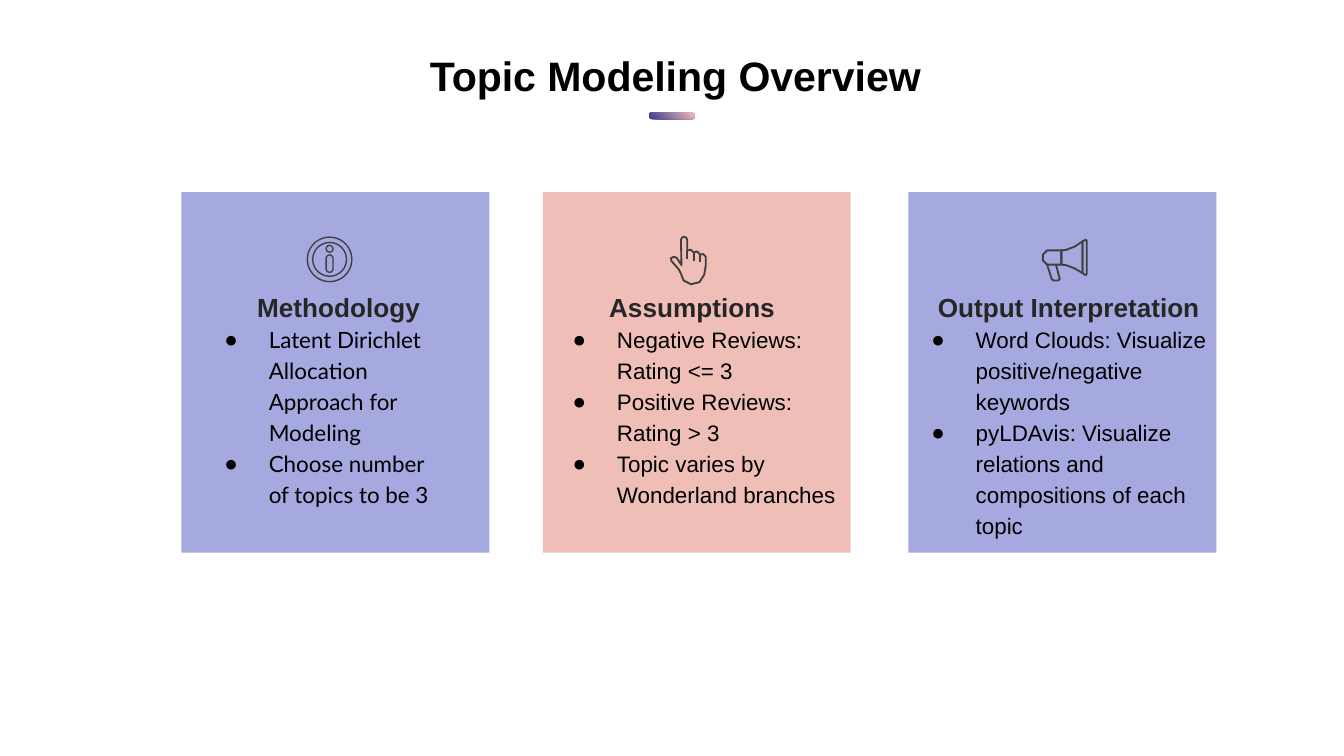
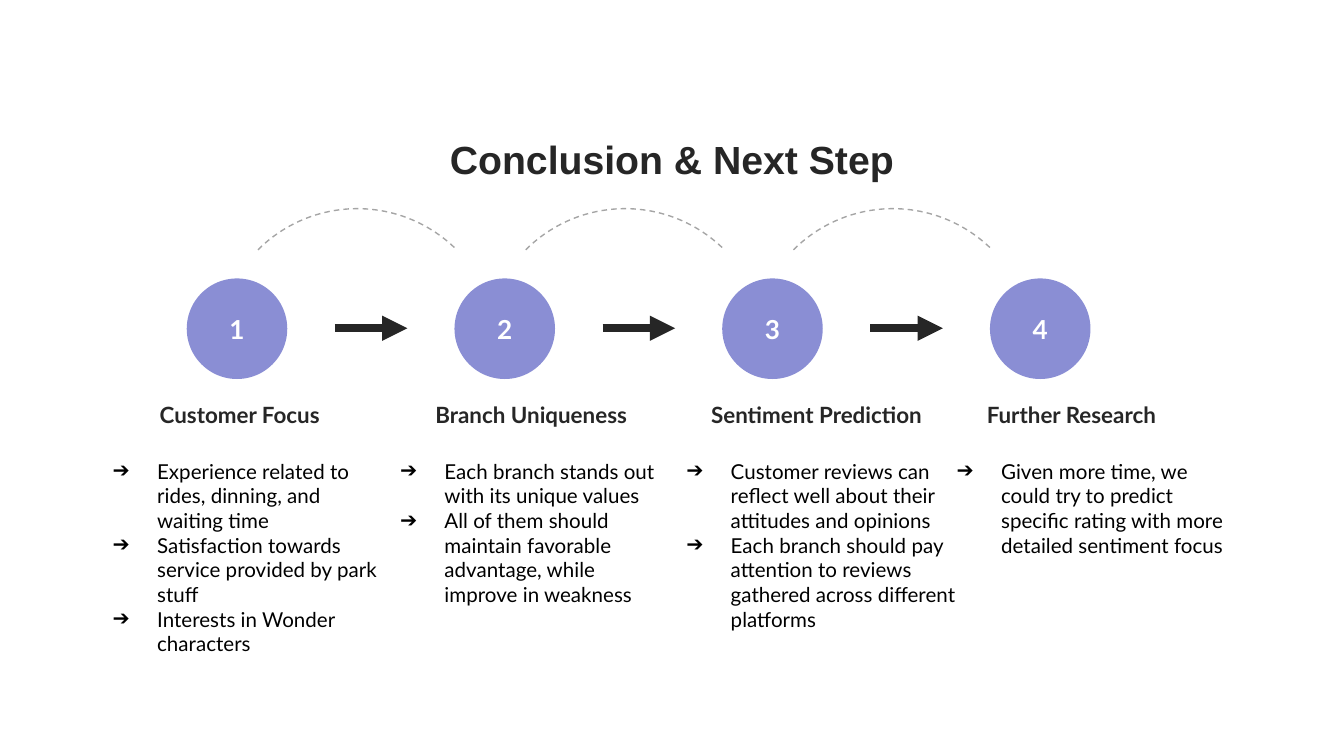
"""Build the topic modeling overview and conclusion slides."""
from dataclasses import dataclass

from lxml.etree import SubElement
from pptx import Presentation
from pptx.dml.color import RGBColor
from pptx.enum.dml import MSO_LINE
from pptx.enum.shapes import MSO_CONNECTOR, MSO_SHAPE
from pptx.enum.text import MSO_ANCHOR, MSO_AUTO_SIZE, PP_ALIGN
from pptx.oxml.ns import qn
from pptx.util import Cm, Pt


@dataclass(frozen=True)
class Theme:
    """Colours, fonts and type sizes."""
    black: str = "000000"
    ink: str = "262626"
    white: str = "FFFFFF"
    lilac: str = "A6A9E0"
    rose: str = "EFBEB7"
    violet: str = "8A8ED4"
    indigo: str = "393E8F"
    icon: str = "404041"
    arc: str = "A5A5A5"
    sans: str = "Arial"
    lato: str = "Lato"
    overview_title: int = 22
    conclusion_title: int = 21
    card_heading: int = 14
    card_list: int = 12
    step_number: int = 14
    step_heading: int = 12
    step_list: int = 11


THEME = Theme()
NARROW = (0.18, 0.1)
WIDE = (0.25, 0.25)
COMPARISON_LAYOUT = 4

CARDS = [
    ("Methodology", THEME.lilac, THEME.lato, 3.43, (4.37, 4.06), (3.63, 5),
     ["Latent Dirichlet Allocation Approach for Modeling",
      "Choose number of topics to be 3"]),
    ("Assumptions", THEME.rose, THEME.sans, 10.26, (11.1, 3.96), (10.21, 5.82),
     ["Negative Reviews: Rating <= 3",
      "Positive Reviews: Rating > 3",
      "Topic varies by Wonderland branches"]),
    ("Output Interpretation", THEME.lilac, THEME.sans, 17.17, (17.53, 5.34), (16.99, 6.5),
     ["Word Clouds: Visualize positive/negative keywords",
      "pyLDAvis: Visualize relations and compositions of each topic"]),
]

STEPS = [
    ("Customer Focus", 3.51, 1.45, 4.27,
     ["Experience related to rides, dinning, and waiting time",
      "Satisfaction towards service provided by park stuff",
      "Interests in Wonder characters"]),
    ("Branch Uniqueness", 4.24, 6.88, 3.81,
     ["Each branch stands out with its unique values",
      "All of them should maintain favorable advantage, while improve in weakness"]),
    ("Sentiment Prediction", 4.57, 12.29, 4.27,
     ["Customer reviews can reflect well about their attitudes and opinions",
      "Each branch should pay attention to reviews gathered across different platforms"]),
    ("Further Research", 4.45, 17.4, 3.33,
     ["Given more time, we could try to predict specific rating with more "
      "detailed sentiment focus"]),
]

HAND = [
    ([(23, 56), (22, 8), (24, 4), (28, 2), (32, 4), (34, 8), (34, 28), (41, 27),
      (46, 32), (53, 30), (58, 36), (64, 35), (69, 40), (69, 56), (66, 74), (57, 88),
      (41, 92), (27, 85), (22, 72), (18, 64), (4, 48), (3, 43), (8, 40), (14, 42)], True),
    ([(34, 28), (34, 45)], False),
    ([(46, 32), (46, 48)], False),
    ([(58, 36), (58, 50)], False),
]
MEGAPHONE = [
    ([(10, 23), (37, 23), (37, 50), (10, 50), (2, 42), (2, 31)], True),
    ([(37, 23), (46, 22), (62, 16), (77, 6), (77, 66), (62, 57), (46, 51), (37, 50)], True),
    ([(77, 6), (83, 3), (85, 5), (85, 67), (83, 70), (77, 66)], True),
    ([(10, 50), (19, 78), (23, 80), (31, 80), (34, 77), (27, 51)], False),
]


class Deck:
    """Holds the theme and the current slide, and draws each kind of element."""

    def __init__(self, theme):
        """Open a blank widescreen presentation."""
        self.theme = theme
        self.presentation = Presentation()
        self.presentation.slide_width = Cm(25.4)
        self.presentation.slide_height = Cm(14.28)

    def new_slide(self):
        """Start a slide with a title and four body placeholders."""
        layout = self.presentation.slide_layouts[COMPARISON_LAYOUT]
        self.slide = self.presentation.slides.add_slide(layout)
        self.bodies = list(self.slide.placeholders)[1:]

    def drop_spare_bodies(self):
        """Remove the body placeholders that hold no list."""
        for body in self.bodies:
            body.element.getparent().remove(body.element)

    def place(self, holder, left, top, width, height):
        """Move a placeholder in front of what is drawn so far."""
        holder.left, holder.top = Cm(left), Cm(top)
        holder.width, holder.height = Cm(width), Cm(height)
        holder.element.getparent().append(holder.element)

    def set_text(self, owner, lines, size, font, color, bold=False, align=PP_ALIGN.LEFT,
                 spacing=1.0, insets=NARROW, anchor=MSO_ANCHOR.TOP, bullet=None, grow=False):
        """Fill a text frame with evenly styled paragraphs."""
        frame = owner.text_frame
        frame.word_wrap = True
        frame.auto_size = MSO_AUTO_SIZE.SHAPE_TO_FIT_TEXT if grow else MSO_AUTO_SIZE.NONE
        frame.vertical_anchor = anchor
        frame.margin_left = frame.margin_right = Cm(insets[0])
        frame.margin_top = frame.margin_bottom = Cm(insets[1])
        frame.text = "\n".join(lines)
        for paragraph in frame.paragraphs:
            if bullet:
                self.bullet(paragraph, bullet)
            paragraph.alignment = align
            paragraph.line_spacing = spacing
            paragraph.space_before = Pt(0)
            paragraph.font.name = font
            paragraph.font.size = Pt(size)
            paragraph.font.bold = bold
            paragraph.font.color.rgb = RGBColor.from_string(color)

    def bullet(self, paragraph, mark):
        """Give a paragraph a hanging black bullet."""
        properties = paragraph._p.get_or_add_pPr()
        properties.set("marL", str(Cm(1.27)))
        properties.set("indent", str(Cm(-0.84)))
        tint = SubElement(properties, qn("a:buClr"))
        SubElement(tint, qn("a:srgbClr"), val=self.theme.black)
        SubElement(properties, qn("a:buFont"), typeface=self.theme.sans)
        SubElement(properties, qn("a:buChar"), char=mark)

    def title(self, text, box, size, color, spacing=1.0):
        """Set the slide title."""
        holder = self.slide.shapes.title
        self.place(holder, *box)
        self.set_text(holder, [text], size, self.theme.sans, color, bold=True,
                      align=PP_ALIGN.CENTER, spacing=spacing)

    def bullets(self, lines, box, size, font, mark, **style):
        """Set a list in the next body placeholder."""
        holder = self.bodies.pop(0)
        self.place(holder, *box)
        self.set_text(holder, lines, size, font, self.theme.black, bullet=mark, **style)

    def heading(self, text, box, size, font, **style):
        """Set a bold heading in a text box."""
        label = self.slide.shapes.add_textbox(*map(Cm, box))
        self.set_text(label, [text], size, font, self.theme.ink, bold=True, **style)

    def stroke(self, shape, color, width):
        """Outline a shape without filling it."""
        shape.shadow.inherit = False
        shape.fill.background()
        shape.line.color.rgb = RGBColor.from_string(color)
        shape.line.width = Pt(width)

    def solid(self, preset, box, color):
        """Draw a filled shape without an outline."""
        shape = self.slide.shapes.add_shape(preset, *map(Cm, box))
        shape.shadow.inherit = False
        shape.fill.solid()
        shape.fill.fore_color.rgb = RGBColor.from_string(color)
        shape.line.fill.background()
        return shape

    def accent(self, box):
        """Draw the gradient bar under a title."""
        bar = self.solid(MSO_SHAPE.ROUNDED_RECTANGLE, box, self.theme.indigo)
        bar.adjustments[0] = 0.34
        bar.fill.gradient()
        bar.fill.gradient_angle = 45
        for stop, color in zip(bar.fill.gradient_stops, (self.theme.indigo, self.theme.rose)):
            stop.color.rgb = RGBColor.from_string(color)

    def info_icon(self, center_x, center_y):
        """Draw an information sign from outlined shapes."""
        parts = [(MSO_SHAPE.OVAL, 0, 0.84, 0.84), (MSO_SHAPE.OVAL, 0, 0.64, 0.64),
                 (MSO_SHAPE.OVAL, -0.2, 0.13, 0.13),
                 (MSO_SHAPE.ROUNDED_RECTANGLE, 0.08, 0.13, 0.33)]
        for preset, shift, width, height in parts:
            box = (center_x - width / 2, center_y + shift - height / 2, width, height)
            part = self.slide.shapes.add_shape(preset, *map(Cm, box))
            self.stroke(part, self.theme.icon, 0.75)
            if preset == MSO_SHAPE.ROUNDED_RECTANGLE:
                part.adjustments[0] = 0.5

    def outline_icon(self, contours, left, top):
        """Draw an icon from contours given in hundredths of a centimetre."""
        builder = self.slide.shapes.build_freeform(*contours[0][0][0], scale=Cm(0.01))
        for points, closed in contours:
            builder.move_to(*points[0])
            builder.add_line_segments(points[1:], close=closed)
        self.stroke(builder.convert_to_shape(Cm(left), Cm(top)), self.theme.icon, 1)

    def arrow(self, left, y, length):
        """Draw a thick arrow to the right."""
        line = self.slide.shapes.add_connector(
            MSO_CONNECTOR.STRAIGHT, Cm(left), Cm(y), Cm(left + length), Cm(y))
        line.line.color.rgb = RGBColor.from_string(self.theme.ink)
        line.line.width = Pt(4.5)
        properties = line.element.spPr
        SubElement(properties.find(qn("a:ln")), qn("a:tailEnd"), type="triangle")
        SubElement(properties, qn("a:effectLst"))

    def arc(self, left, top, size):
        """Draw a dashed arc that bridges two steps."""
        bridge = self.slide.shapes.add_shape(
            MSO_SHAPE.ARC, Cm(left), Cm(top), Cm(size), Cm(size))
        bridge.rotation = 315
        self.stroke(bridge, self.theme.arc, 0.75)
        bridge.line.dash_style = MSO_LINE.DASH


def build_overview(deck):
    """Build the three cards on topic modeling."""
    theme = deck.theme
    deck.new_slide()
    for name, color, font, left, (head_left, head_width), (list_left, list_width), lines in CARDS:
        deck.solid(MSO_SHAPE.RECTANGLE, (left, 3.63, 5.82, 6.81), color)
        deck.heading(name, (head_left, 5.31, head_width, 0.71), theme.card_heading,
                     theme.sans, align=PP_ALIGN.CENTER, spacing=1.15)
        deck.bullets(lines, (list_left, 5.99, list_width, 4.11), theme.card_list, font,
                     "●", spacing=1.15)
    deck.drop_spare_bodies()
    deck.title("Topic Modeling Overview", (2.01, 0.86, 21.51, 1.37),
               theme.overview_title, theme.black)
    deck.accent((12.27, 2.12, 0.86, 0.13))
    deck.info_icon(6.23, 4.9)
    deck.outline_icon(MEGAPHONE, 19.69, 4.5)
    deck.outline_icon(HAND, 12.65, 4.45)


def build_conclusion(deck):
    """Build the four numbered steps of the conclusion."""
    theme = deck.theme
    pitch = 5.06
    deck.new_slide()
    deck.title("Conclusion & Next Step", (5.97, 2.01, 13.46, 1.37),
               theme.conclusion_title, theme.ink, spacing=1.5)
    for index, (name, head_width, list_left, list_height, lines) in enumerate(STEPS):
        offset = index * pitch
        circle = deck.solid(MSO_SHAPE.OVAL, (3.53 + offset, 5.26, 1.9, 1.9), theme.violet)
        deck.set_text(circle, [str(index + 1)], theme.step_number, theme.lato, theme.white,
                      bold=True, align=PP_ALIGN.CENTER, anchor=MSO_ANCHOR.MIDDLE)
        if index < len(STEPS) - 1:
            deck.arrow(6.33 + offset, 6.2, 1.37)
            deck.arc(4.1 + offset, 3.94, 5.31)
        deck.heading(name, (2.84 + index * 5.21, 7.47, head_width, 0.71),
                     theme.step_heading, theme.lato)
        deck.bullets(lines, (list_left, 8.41, 6.05, list_height), theme.step_list,
                     theme.lato, "➔", insets=WIDE, grow=True)


def main():
    """Build and save the deck."""
    deck = Deck(THEME)
    build_overview(deck)
    build_conclusion(deck)
    deck.presentation.save("out.pptx")


if __name__ == "__main__":
    main()
